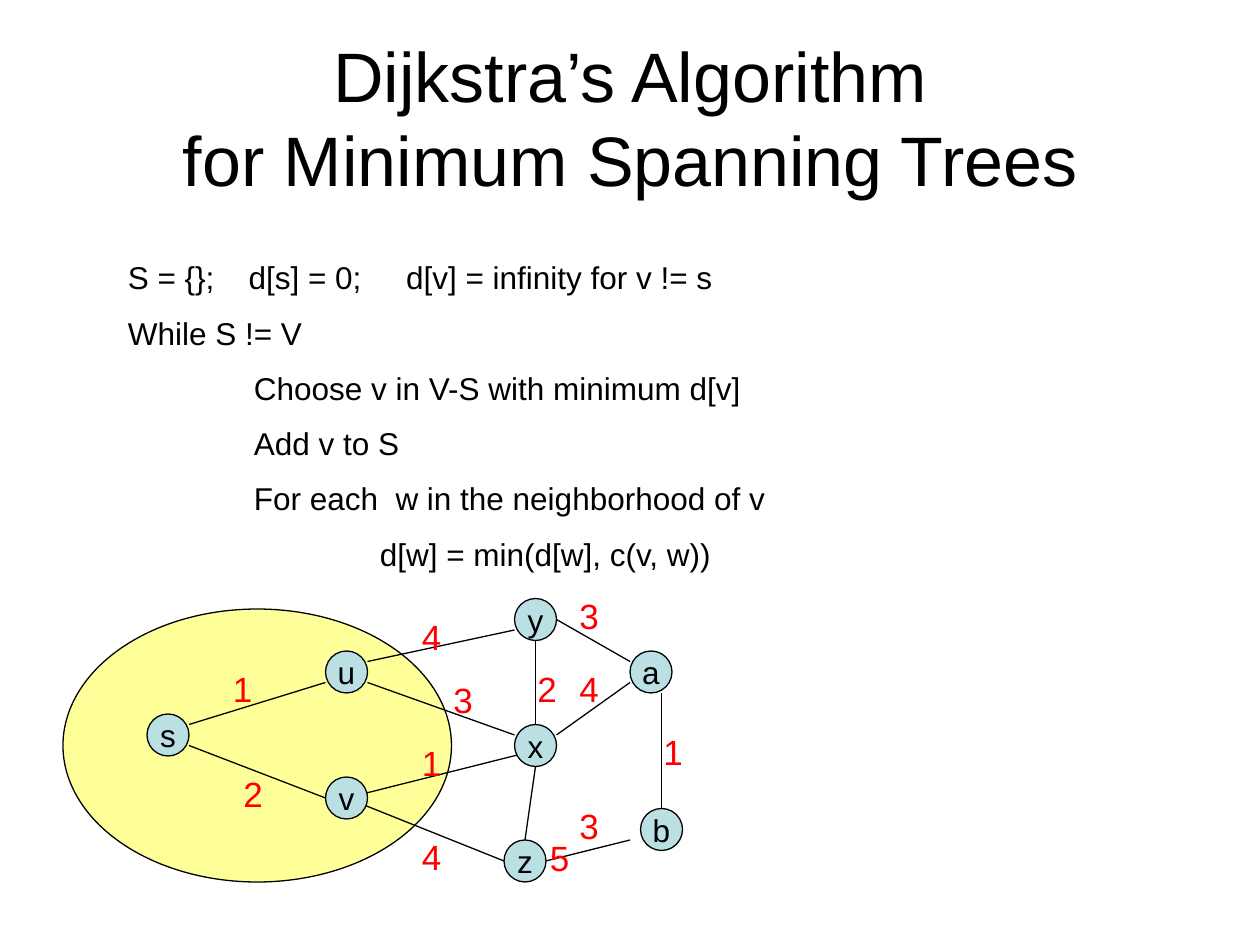
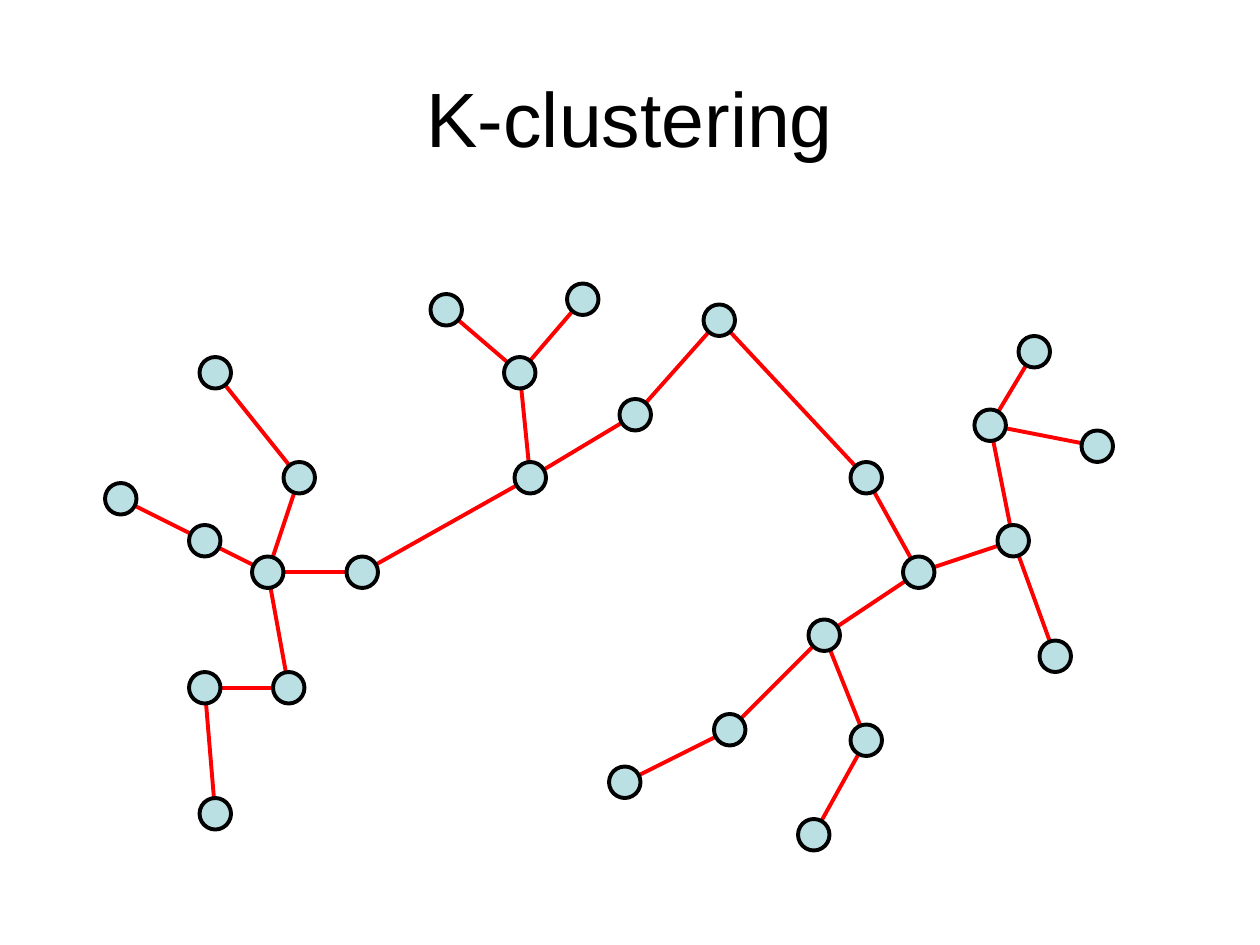
from pptx import Presentation
from pptx.dml.color import RGBColor
from pptx.enum.shapes import MSO_CONNECTOR, MSO_SHAPE
from pptx.enum.text import MSO_ANCHOR, MSO_AUTO_SIZE, PP_ALIGN
from pptx.oxml.ns import qn
from pptx.util import Pt
from lxml.etree import SubElement

PX = 7620  # EMU per px, 120 px to the inch
FONT = "Arial"
COLORS = {"ink": "000000", "node": "BBE0E3", "visited": "FFFF99", "accent": "FF0000"}
TITLE_BOX = (60, 36, 1080, 150)

# Slide 1: algorithm and weighted graph
ALGORITHM_TITLE = ["Dijkstra’s Algorithm", "for Minimum Spanning Trees"]
ALGORITHM_BOX = (110, 240, 1060, 320)
INDENT = 120
TAB_STOPS = (115, 265)
ALGORITHM_STEPS = [  # indent level, text
    (0, "S = {};\td[s] = 0;\td[v] = infinity for v != s"),
    (0, "While S != V"),
    (1, "Choose v in V-S with minimum d[v]"),
    (1, "Add v to S"),
    (1, "For each  w in the neighborhood of v"),
    (2, "d[w] = min(d[w], c(v, w))"),
]
VISITED_SET = (60, 580, 370, 260)
VERTEX_SIZE = 40
VERTICES = {  # centre
    "s": (160, 700), "u": (330, 640), "v": (330, 760), "x": (510, 710),
    "y": (510, 590), "z": (500, 820), "a": (620, 640), "b": (630, 790),
}
WEIGHTED_EDGES = [  # start, end
    ((180, 690), (310, 650)), ((180, 710), (310, 760)),
    ((350, 630), (490, 600)), ((350, 650), (490, 700)),
    ((330, 760), (505, 716)), ((330, 760), (480, 820)),
    ((510, 610), (510, 690)), ((510, 730), (500, 800)),
    ((530, 700), (600, 650)), ((530, 590), (600, 630)),
    ((630, 660), (630, 770)), ((600, 800), (520, 820)),
]
WEIGHT_SIZE = (43, 51)
WEIGHTS = [  # text, left, top
    ("4", 540, 630), ("1", 390, 700), ("1", 210, 630), ("1", 620, 690),
    ("2", 500, 630), ("2", 220, 730), ("3", 540, 760), ("3", 420, 640),
    ("3", 540, 560), ("4", 390, 580), ("4", 390, 790), ("5", 512, 791),
]

# Slide 2: spanning tree, L, M and R being its left, middle and right parts
CLUSTER_TITLE = ["K-clustering"]
POINT_SIZE = 30
POINTS = {  # centre
    "L1": (205, 355), "L2": (285, 455), "L3": (115, 475), "L4": (195, 515),
    "L5": (255, 545), "L6": (345, 545), "L7": (195, 655), "L8": (275, 655),
    "L9": (205, 775),
    "M1": (425, 295), "M2": (555, 285), "M3": (495, 355), "M4": (505, 455),
    "M5": (605, 395), "M6": (685, 305),
    "R1": (825, 455), "R2": (875, 545), "R3": (965, 515), "R4": (943, 405),
    "R5": (985, 335), "R6": (1045, 425), "R7": (1005, 625), "R8": (785, 605),
    "R9": (695, 695), "R10": (595, 745), "R11": (825, 705), "R12": (775, 795),
}
TREE_PATHS = [
    "L1 L2 L5 L8 L7 L9", "L3 L4 L5 L6 M4 M5 M6 R1 R2 R3 R7",
    "M1 M3 M4", "M2 M3", "R3 R4 R5", "R4 R6",
    "R2 R8 R9 R10", "R8 R11 R12",
]


def emu(*lengths):
    return [length * PX for length in lengths]


def color(name):
    return RGBColor.from_string(COLORS[name])


def add_run(paragraph, text, size, color_name="ink"):
    run = paragraph.add_run()
    run.text = text
    run.font.name = FONT
    run.font.size = Pt(size)
    run.font.color.rgb = color(color_name)


def add_text_box(slide, box, wrap=True):
    frame = slide.shapes.add_textbox(*emu(*box)).text_frame
    frame.word_wrap = wrap
    return frame


def add_title(slide, lines, size):
    frame = add_text_box(slide, TITLE_BOX)
    frame.vertical_anchor = MSO_ANCHOR.MIDDLE
    paragraph = frame.paragraphs[0]
    paragraph.alignment = PP_ALIGN.CENTER
    for number, line in enumerate(lines):
        if number:
            paragraph.add_line_break()
        add_run(paragraph, line, size)


def add_ellipse(slide, box, fill, line_width):
    shape = slide.shapes.add_shape(MSO_SHAPE.OVAL, *emu(*box))
    shape.shadow.inherit = False
    shape.fill.solid()
    shape.fill.fore_color.rgb = color(fill)
    shape.line.color.rgb = color("ink")
    shape.line.width = Pt(line_width)
    return shape


def add_node(slide, center, size, line_width, label=None):
    x, y = center
    shape = add_ellipse(slide, (x - size // 2, y - size // 2, size, size), "node", line_width)
    if label:
        frame = shape.text_frame
        frame.word_wrap = False
        frame.vertical_anchor = MSO_ANCHOR.MIDDLE
        frame.paragraphs[0].alignment = PP_ALIGN.CENTER
        add_run(frame.paragraphs[0], label, 18)


def add_edge(slide, start, end, color_name, width):
    connector = slide.shapes.add_connector(MSO_CONNECTOR.STRAIGHT, *emu(*start, *end))
    connector.line.color.rgb = color(color_name)
    connector.line.width = Pt(width)
    SubElement(connector._element.spPr, qn("a:effectLst"))


def add_algorithm(slide):
    frame = add_text_box(slide, ALGORITHM_BOX)
    for number, (level, text) in enumerate(ALGORITHM_STEPS):
        paragraph = frame.add_paragraph() if number else frame.paragraphs[0]
        paragraph.space_before = Pt(10)
        properties = paragraph._p.get_or_add_pPr()
        properties.set("marL", str(level * INDENT * PX))
        if "\t" in text:
            tabs = SubElement(properties, qn("a:tabLst"))
            for stop in TAB_STOPS:
                SubElement(tabs, qn("a:tab"), pos=str(stop * PX), algn="l")
        add_run(paragraph, text, 18)


def build_algorithm_slide(slide):
    add_ellipse(slide, VISITED_SET, "visited", 0.75)
    add_title(slide, ALGORITHM_TITLE, 40)
    add_algorithm(slide)
    for start, end in WEIGHTED_EDGES:
        add_edge(slide, start, end, "ink", 0.75)
    for text, left, top in WEIGHTS:
        frame = add_text_box(slide, (left, top, *WEIGHT_SIZE), wrap=False)
        frame.auto_size = MSO_AUTO_SIZE.SHAPE_TO_FIT_TEXT
        add_run(frame.paragraphs[0], text, 20, "accent")
    for label, center in VERTICES.items():
        add_node(slide, center, VERTEX_SIZE, 0.75, label)


def build_cluster_slide(slide):
    add_title(slide, CLUSTER_TITLE, 44)
    for tree_path in TREE_PATHS:
        names = tree_path.split()
        for start, end in zip(names, names[1:]):
            add_edge(slide, POINTS[start], POINTS[end], "accent", 2.25)
    for center in POINTS.values():
        add_node(slide, center, POINT_SIZE, 2.25)


def main():
    presentation = Presentation()
    presentation.slide_width, presentation.slide_height = emu(1200, 900)
    blank = presentation.slide_layouts[6]
    for build in (build_algorithm_slide, build_cluster_slide):
        build(presentation.slides.add_slide(blank))
    presentation.save("out.pptx")


if __name__ == "__main__":
    main()
